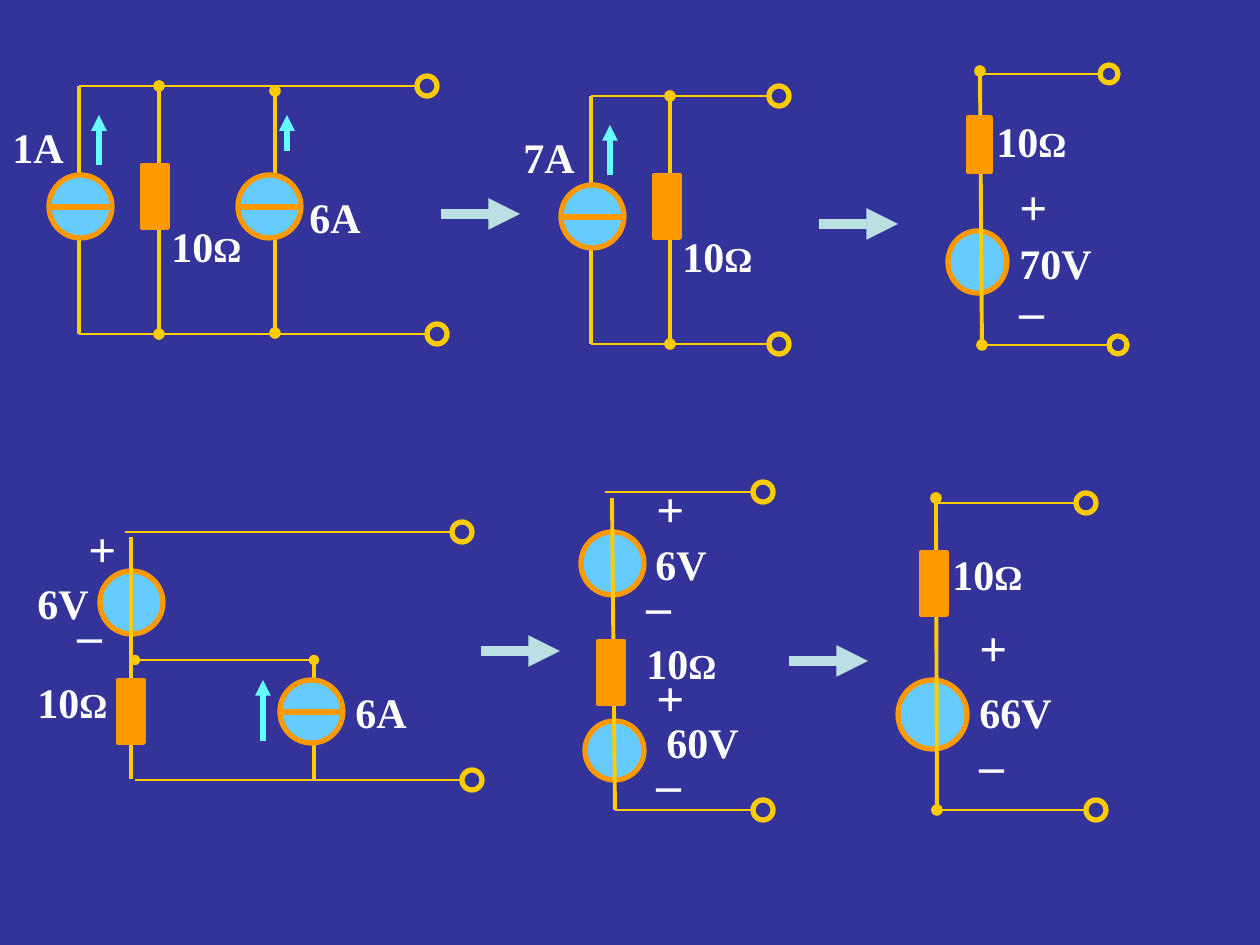
"""Build a slide that simplifies two circuits by source transformation."""
from lxml import etree
from pptx import Presentation
from pptx.dml.color import RGBColor
from pptx.enum.shapes import MSO_CONNECTOR, MSO_SHAPE
from pptx.enum.text import MSO_AUTO_SIZE
from pptx.oxml.ns import qn
from pptx.util import Pt

PX = 914400 / 126
COLORS = {
    "background": "333399", "wire": "FFCC00", "part": "FF9900", "source": "66CCFF",
    "current": "66FFFF", "step": "BBE0E3", "text": "FFFFFF",
}
RGB = {role: RGBColor.from_string(value) for role, value in COLORS.items()}

deck = Presentation()
deck.slide_width, deck.slide_height = round(1260 * PX), round(945 * PX)
slide = deck.slides.add_slide(deck.slide_layouts[6])
slide.background.fill.solid()
slide.background.fill.fore_color.rgb = RGB["background"]


def add_line(x1, y1, x2, y2, role, width, head=None, tail=None):
    ends = [round(v * PX) for v in (x1, y1, x2, y2)]
    connector = slide.shapes.add_connector(MSO_CONNECTOR.STRAIGHT, *ends)
    connector.line.color.rgb = RGB[role]
    connector.line.width = Pt(width)
    outline = connector.line._get_or_add_ln()
    for tag, kind in (("a:headEnd", head), ("a:tailEnd", tail)):
        if kind:
            etree.SubElement(outline, qn(tag)).set("type", kind)
    etree.SubElement(connector._element.spPr, qn("a:effectLst"))


def add_part(preset, x, y, width, height, fill, role, outline):
    box = [round(v * PX) for v in (x, y, width, height)]
    part = slide.shapes.add_shape(preset, *box)
    part.shadow.inherit = False
    if fill:
        part.fill.solid()
        part.fill.fore_color.rgb = RGB[fill]
    else:
        part.fill.background()
    part.line.color.rgb = RGB[role]
    part.line.width = Pt(outline)


voltage_sources = [
    (948, 231, 59, 62), (585, 721, 59, 59), (581, 532, 63, 63),
    (100, 571, 63, 63), (898, 680, 69, 69),
]
for box in voltage_sources:
    add_part(MSO_SHAPE.OVAL, *box, "source", "part", 3)

dotted_wires = [
    (159, 86, 159, 334), (275, 91, 275, 333), (670, 96, 670, 344),
    (980, 71, 982, 345), (936, 498, 937, 810),
]
for ends in dotted_wires:
    add_line(*ends, "wire", 2.25, "oval", "oval")

plain_wires = [
    (79, 86, 79, 334), (591, 96, 591, 344), (612, 498, 615, 810),
    (131, 537, 131, 779), (314, 660, 314, 780),
]
for ends in plain_wires:
    add_line(*ends, "wire", 2.25)

add_line(135, 660, 314, 660, "wire", 0.75, "oval", "oval")

terminal_leads = [
    (79, 427, 334, 20), (79, 417, 86, 20), (591, 769, 344, 20), (591, 769, 96, 20),
    (982, 1100, 74, 18), (982, 1109, 345, 18), (615, 753, 810, 20), (605, 753, 492, 20),
    (135, 462, 780, 20), (125, 452, 532, 20), (937, 1076, 503, 20), (937, 1086, 810, 20),
]
for start, end, y, diameter in terminal_leads:
    add_line(start, y, end, y, "wire", 0.75)
    add_part(MSO_SHAPE.OVAL, end, y - diameter / 2, diameter, diameter, None, "wire", 3)

for x, y in [(238, 175), (49, 175), (561, 185), (280, 680)]:
    add_part(MSO_SHAPE.OVAL, x, y, 63, 63, "source", "part", 3)
    add_line(x, y + 32, x + 63, y + 32, "part", 3)

resistors = [
    (142, 165, 26, 63), (654, 175, 26, 63), (968, 117, 23, 55),
    (598, 641, 26, 63), (118, 680, 26, 63), (921, 552, 26, 63),
]
for box in resistors:
    add_part(MSO_SHAPE.RECTANGLE, *box, "part", "part", 2.25)

for x, start, tip in [(287, 151, 115), (99, 165, 115), (610, 175, 125), (263, 741, 680)]:
    add_line(x, start, x, tip, "current", 3, tail="triangle")

for x, y in [(441, 214), (819, 224), (789, 661), (481, 651)]:
    add_line(x, y, x + 79, y, "step", 6, tail="triangle")

labels = [
    ("1A", 0, 115, 81), ("10Ω", 159, 214, 110), ("6A", 297, 185, 97),
    ("7A", 511, 125, 81), ("10Ω", 670, 224, 110),
    ("70V", 1007, 231, 111), ("10Ω", 984, 109, 102), ("+", 1007, 170, 43), ("_", 1007, 257, 43),
    ("6V", 643, 532, 120), ("+", 644, 472, 49), ("_", 634, 552, 49), ("10Ω", 634, 631, 110),
    ("60V", 654, 710, 117), ("+", 644, 661, 49), ("_", 644, 730, 49),
    ("6V", 25, 571, 120), ("+", 76, 512, 49), ("_", 65, 581, 49),
    ("10Ω", 25, 670, 110), ("6A", 343, 680, 97),
    ("66V", 967, 680, 129), ("10Ω", 940, 542, 118), ("+", 967, 611, 49), ("_", 967, 711, 49),
]
for text, x, y, width in labels:
    is_sign = text in "+_"
    box = [round(v * PX) for v in (x, y, width, 72 if is_sign else 63)]
    frame = slide.shapes.add_textbox(*box).text_frame
    frame.word_wrap = True
    frame.auto_size = MSO_AUTO_SIZE.SHAPE_TO_FIT_TEXT
    value = frame.paragraphs[0]
    value.font.name = "Times New Roman"
    value.font.bold = True
    value.font.size = Pt(28 if is_sign else 24)
    value.font.color.rgb = RGB["text"]
    value.add_run().text = text.rstrip("Ω")
    if text.endswith("Ω"):
        ohm = value.add_run()
        ohm.text = "Ω"
        ohm.font.size = Pt(20)

deck.save("out.pptx")
